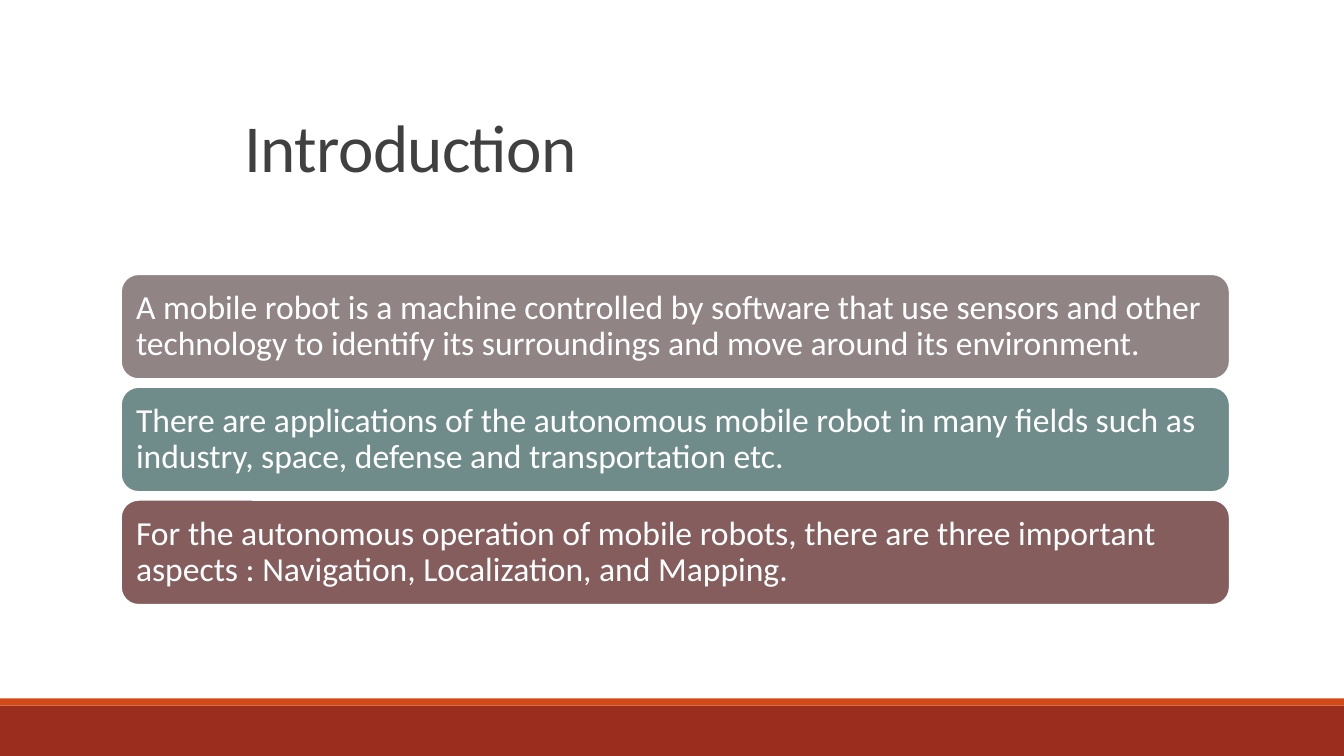
import pptx
import pptx.dml.color
import pptx.enum.shapes
import pptx.enum.text
import pptx.util

Cm = pptx.util.Cm
Pt = pptx.util.Pt
SHAPES = pptx.enum.shapes.MSO_SHAPE
ANCHORS = pptx.enum.text.MSO_ANCHOR

PAGE_WIDTH, PAGE_HEIGHT = 33.87, 19.05
TITLE_BOX = (5.92, 0.79, 27.94, 4.04)
CARDS_BOX = (3.05, 6.91, 27.94, 8.33)
FOOTER_BOX = (0, 17.6, PAGE_WIDTH, 1.45)
CARD_GAP = 0.2
STRIPE_HEIGHT = 0.18

TITLE_FORMAT = {"name": "Calibri", "size": Pt(48)}
CARD_FORMAT = {"name": "Calibri", "size": Pt(24)}

CARDS = [
    ("918485", "A mobile robot is a machine controlled by software that use sensors "
               "and other technology to identify its surroundings and move around its "
               "environment."),
    ("6F8C8B", "There are applications of the autonomous mobile robot in many fields "
               "such as industry, space, defense and transportation etc."),
    ("855D5D", "For the autonomous operation of mobile robots, there are three "
               "important aspects : Navigation, Localization, and Mapping."),
]


def color(hex_string):
    return pptx.dml.color.RGBColor.from_string(hex_string)


def add_block(page, kind, box, fill, line=None):
    block = page.shapes.add_shape(kind, *map(Cm, box))
    block.shadow.inherit = False
    block.fill.solid()
    block.fill.fore_color.rgb = color(fill)
    if line:
        block.line.color.rgb = color(line)
        block.line.width = Pt(1.25)
    else:
        block.line.fill.background()
    return block


def write(shape, text, font_format, text_color, anchor, spacing, inset):
    """Fill a shape with one left-aligned paragraph and return its run."""
    frame = shape.text_frame
    frame_format = {
        "word_wrap": True, "vertical_anchor": anchor,
        "margin_left": Cm(0.25), "margin_right": Cm(0.25),
        "margin_top": Cm(inset), "margin_bottom": Cm(inset),
    }
    for name, value in frame_format.items():
        setattr(frame, name, value)
    para = frame.paragraphs[0]
    para.alignment = pptx.enum.text.PP_ALIGN.LEFT
    para.line_spacing = spacing
    span = para.add_run()
    span.text = text
    for name, value in font_format.items():
        setattr(span.font, name, value)
    span.font.color.rgb = color(text_color)
    return span


def add_footer(page, box):
    left, top, width, height = box
    band_box = (left, top + STRIPE_HEIGHT, width, height - STRIPE_HEIGHT)
    add_block(page, SHAPES.RECTANGLE, band_box, "9B2D1F")
    add_block(page, SHAPES.RECTANGLE, (left, top, width, STRIPE_HEIGHT), "D34817")


def add_title(page, box, text):
    title = page.shapes.add_textbox(*map(Cm, box))
    span = write(title, text, TITLE_FORMAT, "404040", ANCHORS.BOTTOM, 0.85, 0.13)
    span.font._element.set("spc", "-50")


def add_cards(page, box, cards):
    """Stack equal rounded cards to fill the box."""
    left, top, width, height = box
    card_height = (height - CARD_GAP * (len(cards) - 1)) / len(cards)
    for index, (fill, text) in enumerate(cards):
        card_top = top + index * (card_height + CARD_GAP)
        card = add_block(page, SHAPES.ROUNDED_RECTANGLE,
                         (left, card_top, width, card_height), fill, "FFFFFF")
        write(card, text, CARD_FORMAT, "FFFFFF", ANCHORS.MIDDLE, 0.9, 0.25)


def main():
    deck = pptx.Presentation()
    deck.slide_width, deck.slide_height = Cm(PAGE_WIDTH), Cm(PAGE_HEIGHT)
    page = deck.slides.add_slide(deck.slide_layouts[6])
    add_footer(page, FOOTER_BOX)
    add_title(page, TITLE_BOX, "Introduction")
    add_cards(page, CARDS_BOX, CARDS)
    deck.save("out.pptx")


if __name__ == "__main__":
    main()
